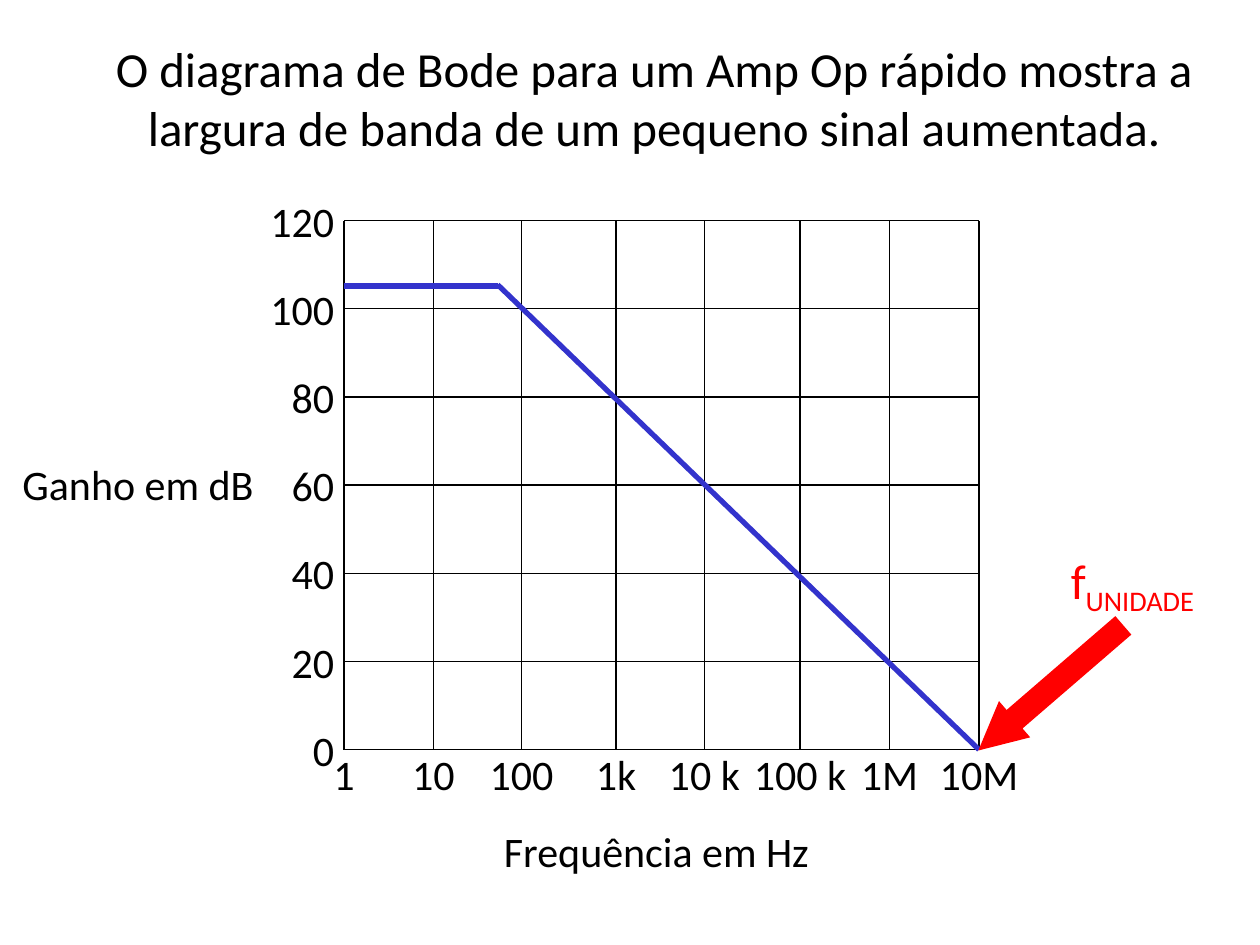
from pptx import Presentation
from pptx.dml.color import RGBColor
from pptx.enum.shapes import MSO_CONNECTOR, MSO_SHAPE
from pptx.enum.text import PP_ALIGN
from pptx.oxml.ns import qn
from pptx.util import Inches, Pt
from lxml import etree

LEFT, CENTER, RIGHT = PP_ALIGN.LEFT, PP_ALIGN.CENTER, PP_ALIGN.RIGHT
STRAIGHT = MSO_CONNECTOR.STRAIGHT
ARROW = MSO_SHAPE.LEFT_ARROW
BLACK, BLUE, RED = "000000", "3333CC", "FF0000"

deck = Presentation()
deck.slide_width, deck.slide_height = Inches(10), Inches(7.5)
slide = deck.slides.add_slide(deck.slide_layouts[6])


def add_text(text, x, y, w, h=0.5, size=24, color=BLACK, align=LEFT, sub=""):
    """Add a text box, one paragraph per line; sub is a trailing subscript."""
    box = slide.shapes.add_textbox(Inches(x), Inches(y), Inches(w), Inches(h))
    frame = box.text_frame
    frame.word_wrap = True
    frame.text = text
    if sub:
        run = frame.paragraphs[-1].add_run()
        run.text = sub
        run.font._element.set("baseline", "-25000")
    for para in frame.paragraphs:
        para.alignment = align
        for run in para.runs:
            run.font.name = "Calibri"
            run.font.size = Pt(size)
            run.font.color.rgb = RGBColor.from_string(color)


def add_line(x1, y1, x2, y2, color=BLACK, width=0.75):
    line = slide.shapes.add_connector(
        STRAIGHT, Inches(x1), Inches(y1), Inches(x2), Inches(y2))
    line.line.color.rgb = RGBColor.from_string(color)
    line.line.width = Pt(width)
    etree.SubElement(line._element.spPr, qn("a:effectLst"))


add_text("O diagrama de Bode para um Amp Op rápido mostra a\n"
         "largura de banda de um pequeno sinal aumentada.",
         0.7, 0.26, 8.98, 1.04, size=28, align=CENTER)

# Grid with its tick labels
decades = {"1": 2.73, "10": 3.44, "100": 4.14, "1k": 4.89,
           "10 k": 5.59, "100 k": 6.35, "1M": 7.06, "10M": 7.77}
start, end = decades["1"], decades["10M"]
top, step = 1.75, 0.7
gains = range(120, -1, -20)
base = top + step * (len(gains) - 1)

for row, gain in enumerate(gains):
    y = top + step * row
    add_line(start, y, end, y)
    add_text(str(gain), 1.75, y - 0.25, 1, align=RIGHT)
for label, x in decades.items():
    add_line(x, top, x, base)
    add_text(label, x - 0.6, 5.89, 1.2, align=CENTER)

add_text("Ganho em dB", 0.08, 3.59, 2.1)
add_text("Frequência em Hz", 3.8, 6.5, 2.82, align=CENTER)

# Gain curve
add_line(start, 2.27, 3.95, 2.27, BLUE, 3)
add_line(3.95, 2.26, end, base, BLUE, 3)

# Unity-gain frequency
arrow = slide.shapes.add_shape(
    ARROW, Inches(7.58), Inches(5.27), Inches(1.52), Inches(0.38))
arrow.rotation = 319.2
arrow.adjustments[0], arrow.adjustments[1] = 0.51, 1
arrow.shadow.inherit = False
arrow.fill.solid()
arrow.fill.fore_color.rgb = RGBColor.from_string(RED)
arrow.line.fill.background()
add_text("f", 8.4, 4.32, 1.3, 0.63, size=28, color=RED, sub="UNIDADE")

deck.save("out.pptx")
